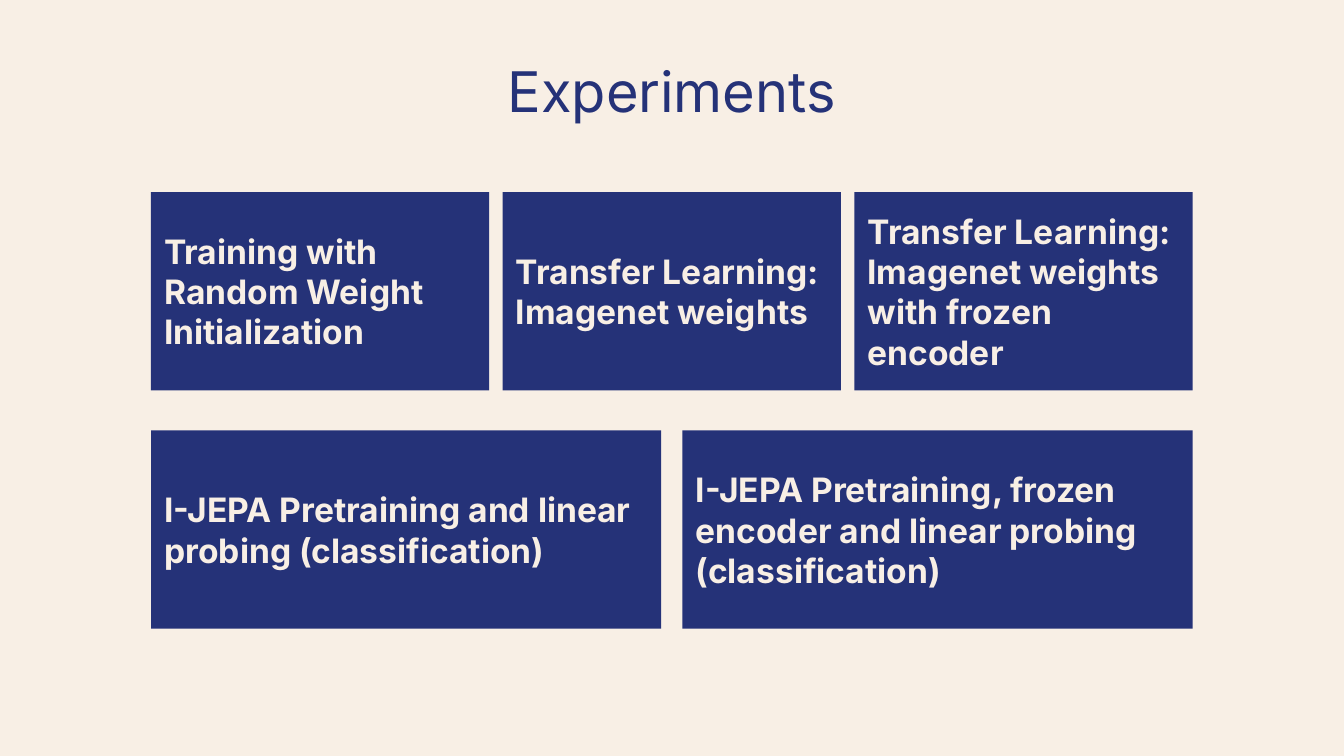
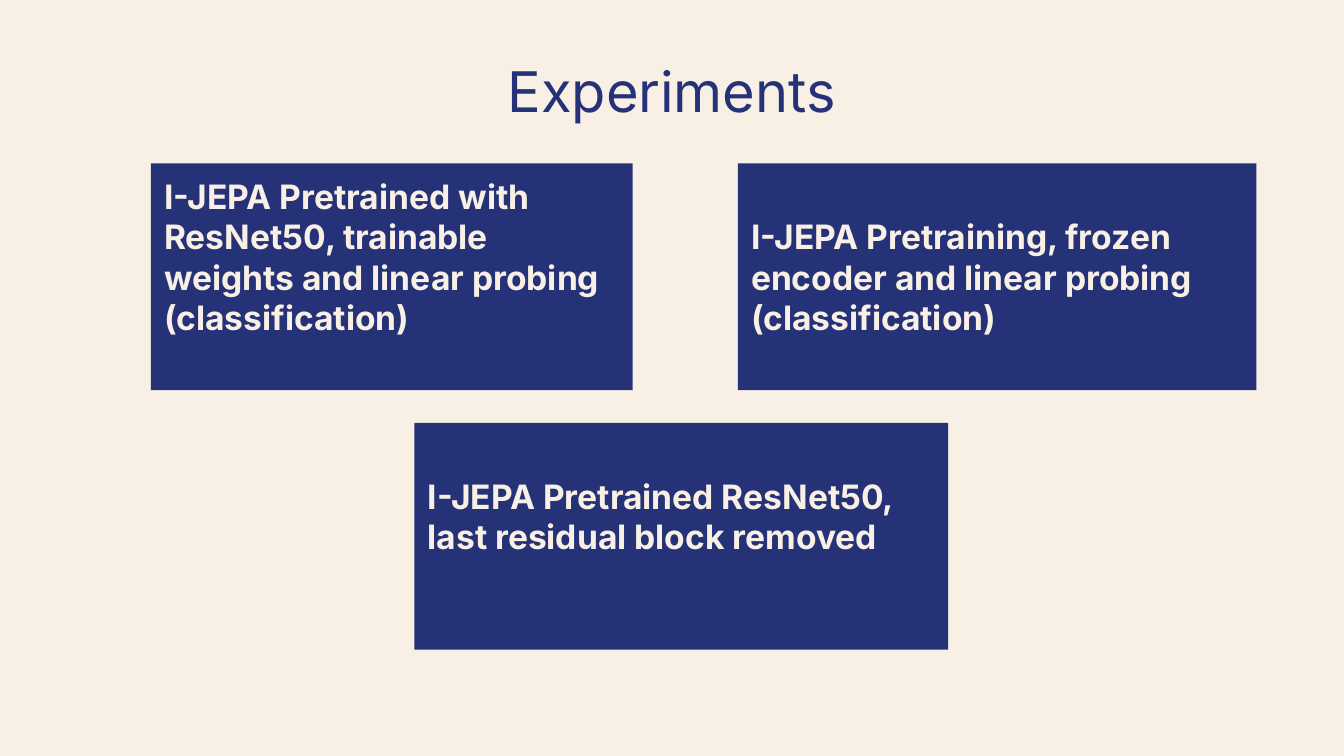
from dataclasses import dataclass

from pptx import Presentation
from pptx.dml.color import RGBColor
from pptx.enum.shapes import MSO_SHAPE
from pptx.enum.text import MSO_ANCHOR, MSO_AUTO_SIZE, PP_ALIGN
from pptx.util import Pt


@dataclass(frozen=True)
class Theme:
    cream: RGBColor = RGBColor(0xF8, 0xEF, 0xE5)
    navy: RGBColor = RGBColor(0x25, 0x32, 0x78)
    font: str = "Inter"
    title_size: int = 30
    card_size: int = 18
    inset: float = 7.2
    raised_inset: float = 29  # bottom inset that lifts the text by half a line


THEME = Theme()
TITLE = "Experiments"
TITLE_BOX = (250.56, 23, 218.88, 58.3)

ROW_LEFT, ROW_WIDTH = 80.9, 558
# (top, height, gap, experiments)
OVERVIEW_ROWS = [
    (102.9, 106.2, 7.2, [
        "Training with Random Weight Initialization",
        "Transfer Learning: Imagenet weights",
        "Transfer Learning: Imagenet weights with frozen encoder",
    ]),
    (230.6, 106.2, 11.4, [
        "I-JEPA Pretraining and linear probing (classification)",
        "I-JEPA Pretraining, frozen encoder and linear probing (classification)",
    ]),
]

RESNET_HEIGHT = 121.4
# (left, top, width, raised, experiment)
RESNET_CARDS = [
    (ROW_LEFT, 87.6, 258, True,
     "I-JEPA Pretrained with ResNet50, trainable weights and linear probing (classification)"),
    (395.3, 87.6, 277.8, False,
     "I-JEPA Pretraining, frozen encoder and linear probing (classification)"),
    (222, 226.6, 286, True,
     "I-JEPA Pretrained ResNet50, last residual block removed"),
]


def place(shape, left, top, width, height):
    shape.left, shape.top = Pt(left), Pt(top)
    shape.width, shape.height = Pt(width), Pt(height)


def write_text(shape, text, *, size, color, bold=False, align=PP_ALIGN.LEFT,
               anchor=MSO_ANCHOR.MIDDLE, bottom=THEME.inset):
    frame = shape.text_frame
    frame.word_wrap = True
    frame.auto_size = MSO_AUTO_SIZE.NONE
    frame.vertical_anchor = anchor
    frame.margin_left = frame.margin_right = frame.margin_top = Pt(THEME.inset)
    frame.margin_bottom = Pt(bottom)
    frame.text = text
    paragraph = frame.paragraphs[0]
    paragraph.alignment = align
    font = paragraph.runs[0].font
    font.name, font.size, font.bold = THEME.font, Pt(size), bold
    font.color.rgb = color


def add_titled_slide(deck, layout):
    slide = deck.slides.add_slide(layout)
    write_text(slide.shapes.title, TITLE, size=THEME.title_size, color=THEME.navy,
               align=PP_ALIGN.CENTER, anchor=MSO_ANCHOR.TOP)
    return slide


def add_card(slide, experiment, left, top, width, height, raised=False):
    card = slide.shapes.add_shape(
        MSO_SHAPE.RECTANGLE, Pt(left), Pt(top), Pt(width), Pt(height))
    card.shadow.inherit = False
    card.fill.solid()
    card.fill.fore_color.rgb = THEME.navy
    card.line.fill.background()
    write_text(card, experiment, size=THEME.card_size, color=THEME.cream, bold=True,
               bottom=THEME.raised_inset if raised else THEME.inset)


def build_overview(deck, layout):
    slide = add_titled_slide(deck, layout)
    for top, height, gap, experiments in OVERVIEW_ROWS:
        width = (ROW_WIDTH + gap) / len(experiments) - gap
        for column, experiment in enumerate(experiments):
            left = ROW_LEFT + column * (width + gap)
            add_card(slide, experiment, left, top, width, height)


def build_resnet(deck, layout):
    slide = add_titled_slide(deck, layout)
    for left, top, width, raised, experiment in RESNET_CARDS:
        add_card(slide, experiment, left, top, width, RESNET_HEIGHT, raised)


def main():
    deck = Presentation()
    deck.slide_width, deck.slide_height = Pt(720), Pt(405)
    backdrop = deck.slide_master.background.fill
    backdrop.solid()
    backdrop.fore_color.rgb = THEME.cream
    layout = deck.slide_layouts.get_by_name("Title Only")
    place(layout.placeholders[0], *TITLE_BOX)
    build_overview(deck, layout)
    build_resnet(deck, layout)
    deck.save("out.pptx")


if __name__ == "__main__":
    main()
